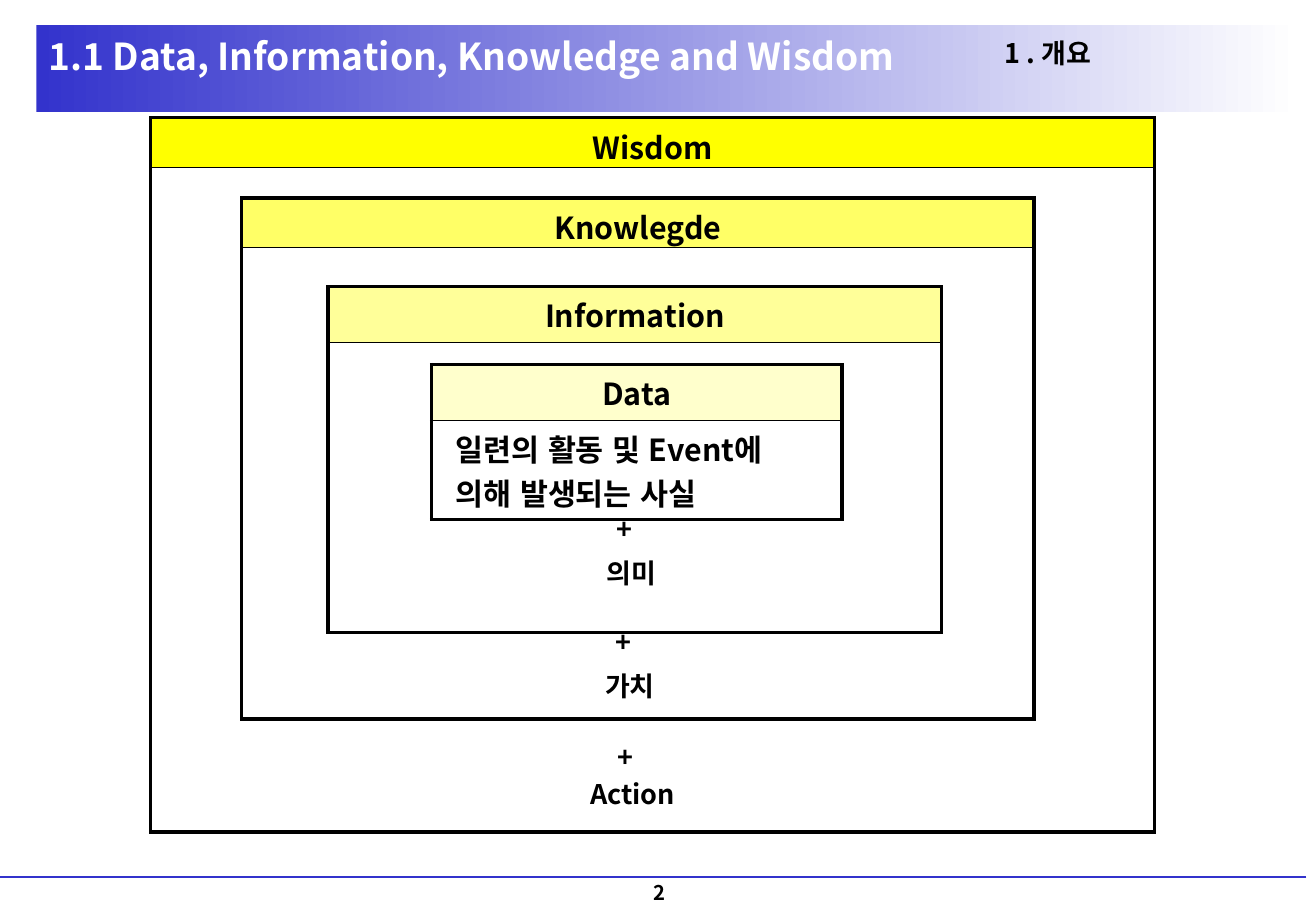
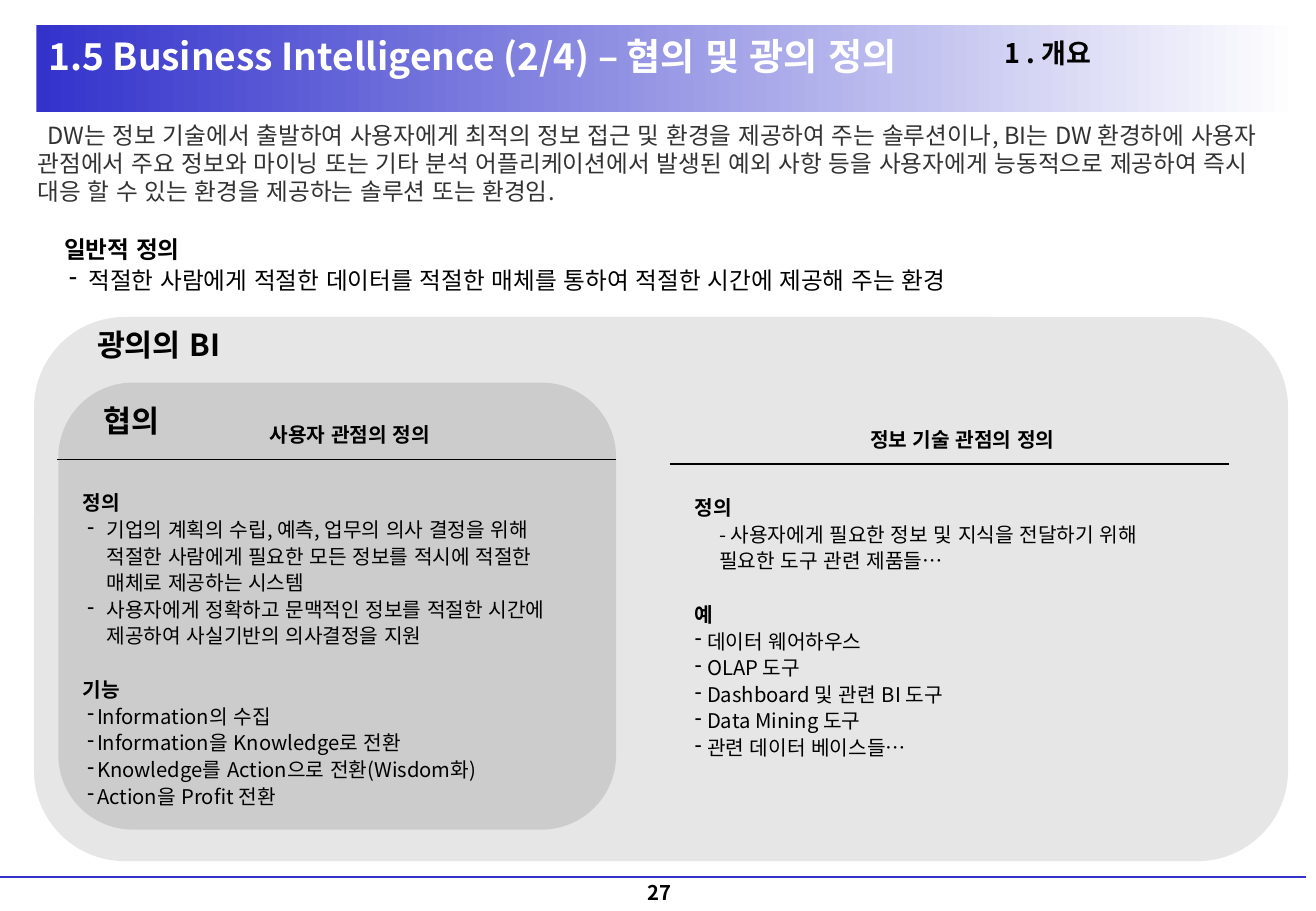
from lxml import etree
from pptx import Presentation
from pptx import util as u
from pptx.dml.color import RGBColor
from pptx.enum import lang, shapes, text
from pptx.oxml import ns

EMU_PER_PX = 9144  # 100 px to the inch
FONT = "Noto Sans CJK KR"
BLACK = RGBColor(0x00, 0x00, 0x00)
WHITE = RGBColor(0xFF, 0xFF, 0xFF)
BLUE = RGBColor(0x33, 0x33, 0xCC)
DARK_GREY = RGBColor(0x33, 0x33, 0x33)
PANEL_GREY = RGBColor(0xE6, 0xE6, 0xE6)
INNER_GREY = RGBColor(0xCC, 0xCC, 0xCC)
HEADER_YELLOWS = [RGBColor(0xFF, 0xFF, blue) for blue in (0xCC, 0x99, 0x66, 0x00)]

CENTER, RIGHT = text.PP_ALIGN.CENTER, text.PP_ALIGN.RIGHT
TOP, MIDDLE, BOTTOM = (text.MSO_ANCHOR.TOP, text.MSO_ANCHOR.MIDDLE,
                       text.MSO_ANCHOR.BOTTOM)
THIN, THICK = 1, 2.25
HEADER_LINE = 36
WIDE_INSETS = (20, 5, 20, 5)
LIST_SPACING = 1.32
LIST_GAP = 16

HEADING = dict(bold=True)
AFTER_GAP = dict(bold=True, before=LIST_GAP)
WRAPPED_DASH = dict(margin=20, indent=-16, bullet="-")
SHORT_DASH = dict(margin=12, indent=-8, bullet="-")
FLUSH_DASH = dict(margin=10, indent=-10, bullet="-")


def px(value):
    return u.Emu(round(value * EMU_PER_PX))


def box(*lengths):
    return [px(length) for length in lengths]


def add_xml(parent, tag, **attributes):
    return etree.SubElement(parent, ns.qn(tag), attributes)


def write(paragraph, content, size=12, bold=False, color=BLACK, align=None,
          spacing=1.2, before=0, margin=0, indent=0, bullet=None):
    """Fill a paragraph; spacing is a multiple of the text size."""
    properties = paragraph._p.get_or_add_pPr()
    properties.set("marL", str(px(margin)))
    properties.set("indent", str(px(indent)))
    if bullet:
        add_xml(properties, "a:buChar", char=bullet)
    else:
        add_xml(properties, "a:buNone")
    paragraph.alignment = align or text.PP_ALIGN.LEFT
    paragraph.space_before = u.Pt(before)
    if spacing:
        paragraph.line_spacing = u.Pt(round(size * spacing, 1))
    run = paragraph.add_run()
    run.text = content
    font = run.font
    font.size, font.bold, font.name = u.Pt(size), bold, FONT
    font.color.rgb = color
    font.language_id = lang.MSO_LANGUAGE_ID.KOREAN
    latin = run._r.rPr.find(ns.qn("a:latin"))
    latin.addnext(latin.makeelement(ns.qn("a:ea"), {"typeface": FONT}))


def set_insets(target, insets):
    (target.margin_left, target.margin_top,
     target.margin_right, target.margin_bottom) = box(*insets)


def add_text(slide, at, items, insets=(10, 5, 10, 5), anchor=TOP, **style):
    """Add a text box; items is one text or a list of (text, own format)."""
    frame = slide.shapes.add_textbox(*box(*at)).text_frame
    frame.word_wrap = True
    frame.vertical_anchor = anchor
    set_insets(frame, insets)
    if isinstance(items, str):
        items = [(items, {})]
    for index, (content, own) in enumerate(items):
        paragraph = frame.add_paragraph() if index else frame.paragraphs[0]
        write(paragraph, content, **{**style, **own})


def add_block(slide, kind, at, color=None):
    shape = slide.shapes.add_shape(kind, *box(*at))
    shape.shadow.inherit = False
    shape.line.fill.background()
    if color is not None:
        shape.fill.solid()
        shape.fill.fore_color.rgb = color
    return shape


def add_rule(slide, left, right, y, color, width):
    rule = slide.shapes.add_connector(shapes.MSO_CONNECTOR.STRAIGHT,
                                      *box(left, y, right, y))
    rule.line.color.rgb = color
    rule.line.width = u.Pt(width)
    add_xml(rule._element.spPr, "a:effectLst")
    return rule


def set_borders(cell, **widths):
    properties = cell._tc.get_or_add_tcPr()
    for index, side in enumerate("LRTB"):
        line = properties.makeelement(
            ns.qn("a:ln" + side), {"w": str(u.Pt(widths.get(side, THICK)))})
        fill = add_xml(line, "a:solidFill")
        add_xml(fill, "a:srgbClr", val=str(BLACK))
        properties.insert(index, line)


def add_level(slide, at, header_height, title, color, body=None):
    """Add a two-row table: a coloured header above an open body."""
    table = slide.shapes.add_table(2, 1, *box(*at)).table
    table.first_row = table.horz_banding = False
    header, content = table.cell(0, 0), table.cell(1, 0)
    table.rows[0].height = px(header_height)
    table.rows[1].height = px(at[3] - header_height)
    for cell in (header, content):
        cell.vertical_anchor = MIDDLE
        set_insets(cell, WIDE_INSETS)
    header.margin_bottom = px(header_height - HEADER_LINE - 5)
    header.fill.solid()
    header.fill.fore_color.rgb = color
    content.fill.background()
    set_borders(header, B=THIN)
    set_borders(content, T=THIN)
    write(header.text_frame.paragraphs[0], title, size=18, bold=True,
          align=CENTER, spacing=None)
    if body:
        write(content.text_frame.paragraphs[0], body, size=18, bold=True,
              spacing=None)


def move_to_layout(layout, *decorations):
    """Put shapes on the layout so that every slide shows them."""
    for number, decoration in enumerate(decorations, start=100):
        element = decoration._element
        element.xpath(".//p:cNvPr")[0].set("id", str(number))
        layout.shapes.element.append(element)


def decorate_layout(layout, slide):
    band = add_block(slide, shapes.MSO_SHAPE.RECTANGLE, (30, 21, 1040, 71))
    band.fill.gradient()
    band.fill.gradient_angle = 0
    for stop, color in zip(band.fill.gradient_stops, (BLUE, WHITE)):
        stop.color.rgb = color
    rule = add_rule(slide, 1075, 0, 722, BLUE, 1.5)
    move_to_layout(layout, band, rule)


def fill_frame(slide, title, number):
    """Set the title, chapter name and page number."""
    placeholder = slide.shapes.title
    (placeholder.left, placeholder.top,
     placeholder.width, placeholder.height) = box(30, 22, 776, 48)
    frame = placeholder.text_frame
    frame.vertical_anchor = MIDDLE
    frame.auto_size = text.MSO_AUTO_SIZE.NONE
    write(frame.paragraphs[0], title, size=22, bold=True, color=WHITE)
    add_text(slide, (488, 19, 410, 48), "1 . 개요", insets=(0, 0, 0, 0),
             anchor=MIDDLE, size=16, bold=True, align=RIGHT)
    add_text(slide, (430, 721, 226, 29), number, anchor=BOTTOM, bold=True,
             align=CENTER)


def build_levels(slide):
    levels = [
        ((355, 300, 338, 128), 46, "Data", "일련의 활동 및 Event에 의해 발생되는 사실"),
        ((270, 236, 505, 285), 46, "Information", None),
        ((199, 163, 652, 429), 41, "Knowlegde", None),
        ((124, 97, 826, 588), 41, "Wisdom", None),
    ]
    for (at, header_height, title, body), color in zip(levels, HEADER_YELLOWS):
        add_level(slide, at, header_height, title, color, body)

    additions = [("의미", 421, 417, 453), ("가치", 420, 510, 546),
                 ("Action", 422, 605, 635)]
    for name, left, plus_top, name_top in additions:
        for content, at in (("+", (left + 52, plus_top, 82, 37)),
                            (name, (left, name_top, 197, 37))):
            add_text(slide, at, content, insets=WIDE_INSETS, size=16,
                     bold=True, align=CENTER)


def add_viewpoint(slide, left, rule_y, title, items):
    """Add a column: centred heading, rule and list."""
    add_text(slide, (left + 11, rule_y - 40, 460, 39), title, anchor=MIDDLE,
             bold=True, align=CENTER)
    add_rule(slide, left, left + 460, rule_y, BLACK, 0.75)
    add_text(slide, (left + 11, rule_y + 19, 429, 277), items,
             spacing=LIST_SPACING)


def build_definitions(slide):
    rounded = shapes.MSO_SHAPE.ROUNDED_RECTANGLE
    add_block(slide, rounded, (28, 261, 1032, 448), PANEL_GREY)
    add_block(slide, rounded, (48, 315, 459, 368), INNER_GREY)
    add_text(slide, (70, 264, 331, 40), "광의의 BI", size=18, bold=True)
    add_text(slide, (75, 326, 331, 40), "협의", size=18, bold=True)

    add_text(slide, (31, 100, 1032, 86),
             "DW는 정보 기술에서 출발하여 사용자에게 최적의 정보 접근 및 환경을 제공하여 주는 "
             "솔루션이나, BI는 DW 환경하에 사용자 관점에서 주요 정보와 마이닝 또는 기타 분석 "
             "어플리케이션에서 발생된 예외 사항 등을 사용자에게 능동적으로 제공하여 즉시 대응 할 수 "
             "있는 환경을 제공하는 솔루션 또는 환경임.",
             insets=(0, 0, 0, 0), size=14, color=DARK_GREY, spacing=1.18,
             indent=8)
    add_text(slide, (43, 186, 964, 59), [
        ("일반적 정의", HEADING),
        ("적절한 사람에게 적절한 데이터를 적절한 매체를 통하여 적절한 시간에 제공해 주는 환경",
         WRAPPED_DASH),
    ], size=14, spacing=LIST_SPACING)

    add_viewpoint(slide, 47, 378, "사용자 관점의 정의", [
        ("정의", HEADING),
        ("기업의 계획의 수립, 예측, 업무의 의사 결정을 위해 적절한 사람에게 필요한 모든 정보를 "
         "적시에 적절한 매체로 제공하는 시스템", WRAPPED_DASH),
        ("사용자에게 정확하고 문맥적인 정보를 적절한 시간에 제공하여 사실기반의 의사결정을 지원",
         WRAPPED_DASH),
        ("기능", AFTER_GAP),
        ("Information의 수집", SHORT_DASH),
        ("Information을 Knowledge로 전환", SHORT_DASH),
        ("Knowledge를 Action으로 전환(Wisdom화)", SHORT_DASH),
        ("Action을 Profit 전환", SHORT_DASH),
    ])
    add_viewpoint(slide, 551, 382, "정보 기술 관점의 정의", [
        ("정의", HEADING),
        ("- 사용자에게 필요한 정보 및 지식을 전달하기 위해 필요한 도구 관련 제품들…",
         dict(margin=20)),
        ("예", AFTER_GAP),
        ("데이터 웨어하우스", FLUSH_DASH),
        ("OLAP 도구", FLUSH_DASH),
        ("Dashboard 및 관련 BI 도구", FLUSH_DASH),
        ("Data Mining 도구", FLUSH_DASH),
        ("관련 데이터 베이스들…", FLUSH_DASH),
    ])


def main():
    presentation = Presentation()
    presentation.slide_width, presentation.slide_height = box(1083, 750)
    layout = presentation.slide_layouts.get_by_name("Title Only")
    pages = [
        ("1.1 Data, Information, Knowledge and Wisdom", "2", build_levels),
        ("1.5 Business Intelligence (2/4) – 협의 및 광의 정의", "27",
         build_definitions),
    ]
    for index, (title, number, build) in enumerate(pages):
        slide = presentation.slides.add_slide(layout)
        if index == 0:
            decorate_layout(layout, slide)
        fill_frame(slide, title, number)
        build(slide)
    presentation.save("out.pptx")


if __name__ == "__main__":
    main()
